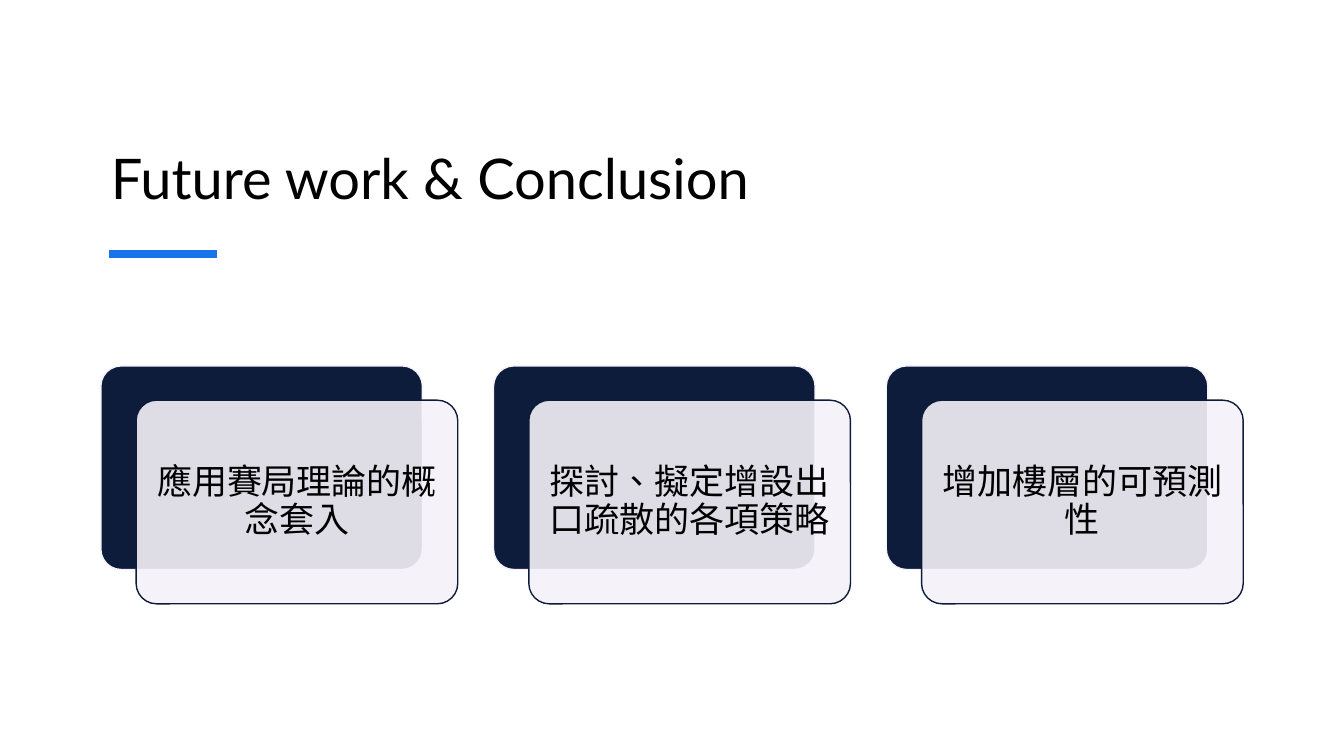
from dataclasses import dataclass

from lxml.etree import SubElement
from pptx import Presentation
from pptx.dml.color import RGBColor
from pptx.enum.lang import MSO_LANGUAGE_ID as LANG
from pptx.enum.shapes import MSO_CONNECTOR, MSO_SHAPE
from pptx.enum.text import MSO_ANCHOR, PP_ALIGN
from pptx.oxml.ns import qn
from pptx.util import Inches, Pt


@dataclass(frozen=True)
class Theme:
    """Colours, font and type sizes of the slide."""
    navy: str = "0D1C3B"
    pale: str = "F5F2F9"
    accent: str = "1973EB"
    ink: str = "000000"
    font: str = "Lato"
    title_size: int = 40
    card_size: int = 25


THEME = Theme()
CARDS = ["應用賽局理論的概念套入", "探討、擬定增設出口疏散的各項策略", "增加樓層的可預測性"]
FIRST_LEFT, LAST_LEFT, CARD_TOP = 1, 8.79, 3.63
CARD_PITCH = (LAST_LEFT - FIRST_LEFT) / (len(CARDS) - 1)
CARD_W, CARD_H = 3.19, 2.02
OFFSET_X, OFFSET_Y = 0.35, 0.34


def write(shape, text, size, align=PP_ALIGN.LEFT, anchor=MSO_ANCHOR.MIDDLE,
          lang=LANG.ENGLISH_US):
    """Put one formatted paragraph in a shape."""
    tf = shape.text_frame
    tf.word_wrap = True
    tf.vertical_anchor = anchor
    tf.margin_left = tf.margin_right = Inches(0.1)
    p = tf.paragraphs[0]
    p.alignment = align
    p.line_spacing = 0.9
    r = p.add_run()
    r.text = text
    r.font.name = THEME.font
    r.font.size = Pt(size)
    r.font.language_id = lang
    r.font.color.rgb = RGBColor.from_string(THEME.ink)


def add_panel(s, left, top, fill, line, opacity=100):
    """Add a rounded panel, see-through when opacity is below 100."""
    sp = s.shapes.add_shape(MSO_SHAPE.ROUNDED_RECTANGLE, Inches(left), Inches(top),
                            Inches(CARD_W), Inches(CARD_H))
    sp.adjustments[0] = 0.1
    sp.shadow.inherit = False
    sp.fill.solid()
    sp.fill.fore_color.rgb = RGBColor.from_string(fill)
    sp.line.color.rgb = RGBColor.from_string(line)
    sp.line.width = Pt(1)
    if opacity < 100:
        color = sp.fill._xPr.find(qn("a:solidFill"))[0]
        SubElement(color, qn("a:alpha")).set("val", str(opacity * 1000))
    return sp


def add_card(s, left, text):
    """Add a dark panel with a pale text panel shifted over it."""
    add_panel(s, left, CARD_TOP, THEME.navy, THEME.pale)
    front = add_panel(s, left + OFFSET_X, CARD_TOP + OFFSET_Y,
                      THEME.pale, THEME.navy, opacity=90)
    write(front, text, THEME.card_size, align=PP_ALIGN.CENTER,
          lang=LANG.TRADITIONAL_CHINESE)


def add_title(s, text):
    """Place and fill the title placeholder."""
    sp = s.shapes.title
    sp.left, sp.top, sp.width, sp.height = map(Inches, (1, 0.63, 11.06, 1.52))
    write(sp, text, THEME.title_size, anchor=MSO_ANCHOR.BOTTOM)


def add_rule(s):
    """Add the accent line under the title."""
    rule = s.shapes.add_connector(MSO_CONNECTOR.STRAIGHT, Inches(1.08), Inches(2.52),
                                  Inches(2.15), Inches(2.52))
    rule.line.color.rgb = RGBColor.from_string(THEME.accent)
    rule.line.width = Pt(6)
    SubElement(rule._element.spPr, qn("a:effectLst"))


def main():
    """Build and save the slide."""
    prs = Presentation()
    prs.slide_width, prs.slide_height = Inches(13.33), Inches(7.5)
    s = prs.slides.add_slide(prs.slide_layouts.get_by_name("Title Only"))
    add_title(s, "Future work & Conclusion")
    add_rule(s)
    for i, text in enumerate(CARDS):
        add_card(s, FIRST_LEFT + i * CARD_PITCH, text)
    prs.save("out.pptx")


if __name__ == "__main__":
    main()
